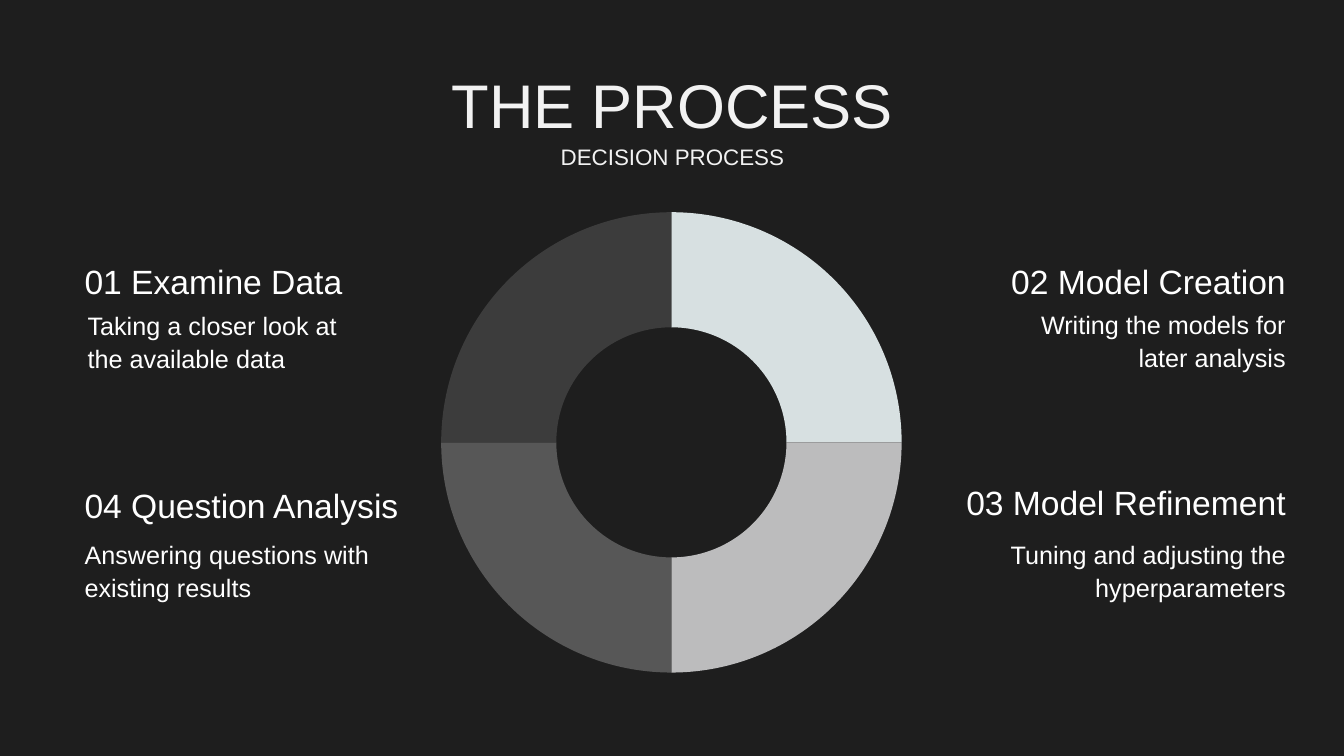
from lxml import etree
from pptx import Presentation
from pptx.chart import data as chart_data
from pptx.dml.color import RGBColor
from pptx.enum import chart as chart_enum, text
from pptx.oxml import ns
from pptx.util import Inches, Pt

FONT = "Arial"
COLORS = {
    "background": "1E1E1E",
    "heading": "F2F2F2",
    "text": "FFFFFF",
    "chart_text": "000000",
}
# Ring quarters, clockwise from the top
QUARTERS = ["D7E0E1", "BCBCBD", "575757", "3C3C3C"]
LEFT, RIGHT, CENTER = text.PP_ALIGN.LEFT, text.PP_ALIGN.RIGHT, text.PP_ALIGN.CENTER

# Each step: alignment, then (wording, box) for its heading and description
STEPS = [
    (LEFT, ("01 Examine Data", (0.74, 2.54, 2.88, 0.5)),
     ("Taking a closer look at the available data", (0.77, 3.0, 2.73, 0.74))),
    (RIGHT, ("02 Model Creation", (9.7, 2.54, 3.15, 0.5)),
     ("Writing the models for later analysis", (9.84, 2.99, 3.01, 0.77))),
    (RIGHT, ("03 Model Refinement", (9.23, 4.73, 3.62, 0.5)),
     ("Tuning and adjusting the hyperparameters", (9.54, 5.27, 3.31, 0.74))),
    (LEFT, ("04 Question Analysis", (0.74, 4.76, 3.44, 0.5)),
     ("Answering questions with existing results", (0.74, 5.27, 3.42, 0.74))),
]


def rgb(name):
    return RGBColor.from_string(COLORS[name])


def write(frame, wording, size, color, alignment, spacing=1.0):
    frame.word_wrap = True
    paragraph = frame.paragraphs[0]
    paragraph.alignment = alignment
    paragraph.line_spacing = spacing
    paragraph.space_before = Pt(0)
    run = paragraph.add_run()
    run.text = wording
    run.font.size = Pt(size)
    run.font.name = FONT
    run.font.color.rgb = rgb(color)
    return paragraph


def fill_placeholder(placeholder, wording, box, size, anchor):
    placeholder.left, placeholder.top, placeholder.width, placeholder.height = map(Inches, box)
    frame = placeholder.text_frame
    frame.auto_size = text.MSO_AUTO_SIZE.NONE
    frame.vertical_anchor = anchor
    return write(frame, wording, size, "heading", CENTER, 0.9)


def remove_bullet(paragraph):
    properties = paragraph._p.get_or_add_pPr()
    properties.set("marL", "0")
    properties.set("indent", "0")
    etree.SubElement(properties, ns.qn("a:buNone"))


def add_text(slide, wording, box, size, alignment, spacing=1.0):
    frame = slide.shapes.add_textbox(*map(Inches, box)).text_frame
    frame.auto_size = text.MSO_AUTO_SIZE.SHAPE_TO_FIT_TEXT
    write(frame, wording, size, "text", alignment, spacing)


def set_plot_area(chart, **fractions):
    """Place the ring inside the chart frame, in fractions of its size."""
    plot_area = chart._chartSpace.chart.plotArea
    for old in plot_area.findall(ns.qn("c:layout")):
        plot_area.remove(old)
    layout = etree.Element(ns.qn("c:layout"))
    manual = etree.SubElement(layout, ns.qn("c:manualLayout"))
    values = {"layoutTarget": "inner", "xMode": "edge", "yMode": "edge", **fractions}
    for tag, value in values.items():
        etree.SubElement(manual, ns.qn(f"c:{tag}")).set("val", str(value))
    plot_area.insert(0, layout)


def add_ring(slide, box):
    data = chart_data.CategoryChartData()
    data.categories = [str(number + 1) for number in range(len(QUARTERS))]
    data.add_series("Series 1", [100 // len(QUARTERS)] * len(QUARTERS))
    chart = slide.shapes.add_chart(
        chart_enum.XL_CHART_TYPE.DOUGHNUT, *map(Inches, box), data).chart
    chart.has_legend = False
    chart.has_title = False
    chart.font.name = FONT
    chart.font.size = Pt(10)
    chart.font.color.rgb = rgb("chart_text")
    plot = chart.plots[0]
    plot.vary_by_categories = True
    plot.has_data_labels = False
    for index, color in enumerate(QUARTERS):
        point = plot.series[0].points[index].format
        point.fill.solid()
        point.fill.fore_color.rgb = RGBColor.from_string(color)
        point.line.fill.background()
    set_plot_area(chart, x=0.03, y=0.03, w=0.94, h=0.94)


def main():
    presentation = Presentation()
    presentation.slide_width = Inches(13.33)
    presentation.slide_height = Inches(7.5)
    slide = presentation.slides.add_slide(presentation.slide_layouts[1])
    slide.background.fill.solid()
    slide.background.fill.fore_color.rgb = rgb("background")

    # Title and subtitle
    title, subtitle = slide.placeholders
    fill_placeholder(title, "THE PROCESS", (0.92, 0.68, 11.5, 0.79), 44,
                     text.MSO_ANCHOR.MIDDLE)
    remove_bullet(fill_placeholder(subtitle, "DECISION PROCESS", (0.92, 1.4, 11.5, 0.42), 16,
                                   text.MSO_ANCHOR.TOP))

    # Ring with the four steps around it
    add_ring(slide, (4.21, 1.96, 4.9, 4.86))
    for alignment, heading, description in STEPS:
        add_text(slide, *heading, 24, alignment)
        add_text(slide, *description, 18, alignment, 1.1)

    presentation.save("out.pptx")


if __name__ == "__main__":
    main()
